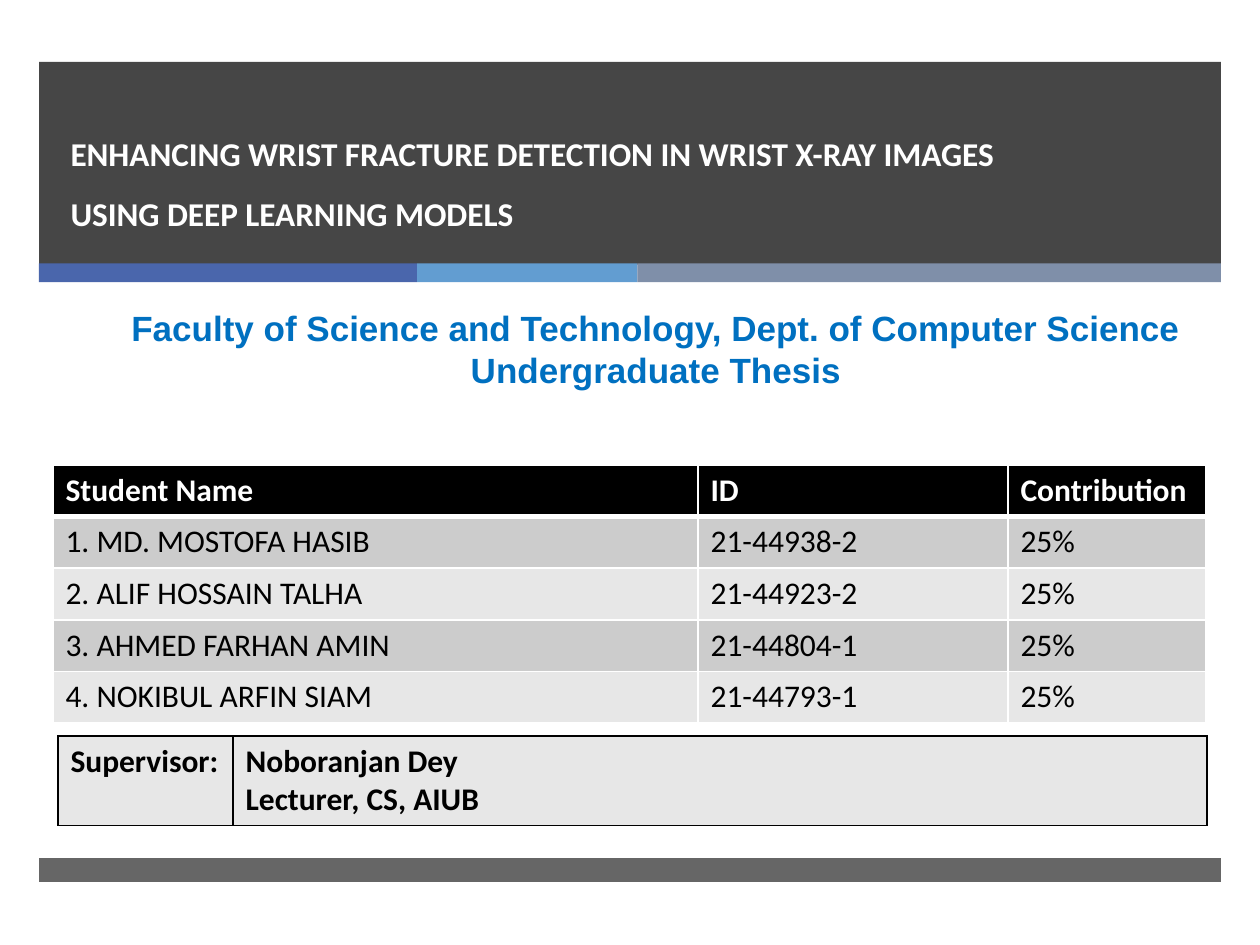
import pptx
import pptx.dml.color
import pptx.enum.shapes
import pptx.enum.text
import pptx.oxml
import pptx.oxml.ns
import pptx.util
from pptx.util import Inches

THEME = {
    "heading_font": "Arial", "body_font": "Calibri",
    "title_size": 19, "subtitle_size": 20, "table_size": 18,
    "white": "FFFFFF", "black": "000000", "dark": "262626", "subtitle": "0070C0",
    "band_dark": "CCCCCC", "band_light": "E7E7E7",
    "accents": ("4A66AC", "629DD1", "7F8FA9"),
}

TITLE = "ENHANCING WRIST FRACTURE DETECTION IN WRIST X-RAY IMAGES USING DEEP LEARNING MODELS"
SUBTITLE = ("Faculty of Science and Technology, Dept. of Computer Science\n"
            "Undergraduate Thesis")
STUDENTS = [
    ("Student Name", "ID", "Contribution"),
    ("1. MD. MOSTOFA HASIB", "21-44938-2", "25%"),
    ("2. ALIF HOSSAIN TALHA", "21-44923-2", "25%"),
    ("3. AHMED FARHAN AMIN", "21-44804-1", "25%"),
    ("4. NOKIBUL ARFIN SIAM", "21-44793-1", "25%"),
]
SUPERVISOR = [("Supervisor:", "Noboranjan Dey\nLecturer, CS, AIUB")]

MARGIN, BAND_WIDTH = 0.31, 9.38
ACCENT_WIDTHS = (3, 1.75, 4.63)


def rgb(color):
    return pptx.dml.color.RGBColor.from_string(color)


def style_text(text_frame, font, size, color, bold=True):
    for paragraph in text_frame.paragraphs:
        for run in paragraph.runs:
            run.font.name = font
            run.font.size = pptx.util.Pt(size)
            run.font.bold = bold
            run.font.color.rgb = rgb(color)


def add_band(slide, left, top, width, height, color, opacity=100):
    shape = slide.shapes.add_shape(
        pptx.enum.shapes.MSO_SHAPE.RECTANGLE, *map(Inches, (left, top, width, height)))
    shape.shadow.inherit = False
    shape.line.fill.background()
    shape.fill.solid()
    shape.fill.fore_color.rgb = rgb(color)
    if opacity < 100:
        color_element = shape.element.spPr.find(".//" + pptx.oxml.ns.qn("a:srgbClr"))
        color_element.append(pptx.oxml.parse_xml(
            f'<a:alpha {pptx.oxml.ns.nsdecls("a")} val="{opacity * 1000}"/>'))


def place(shape, left, top, width, height):
    """Position a placeholder and bring it to the front."""
    shape.left, shape.top, shape.width, shape.height = map(Inches, (left, top, width, height))
    shape.element.getparent().append(shape.element)
    shape.text_frame.word_wrap = True
    shape.text_frame.auto_size = pptx.enum.text.MSO_AUTO_SIZE.NONE


def set_borders(cell, color, top=1, bottom=1):
    properties = cell._tc.get_or_add_tcPr()
    for side, width in (("L", 1), ("R", 1), ("T", top), ("B", bottom)):
        properties.append(pptx.oxml.parse_xml(
            f'<a:ln{side} {pptx.oxml.ns.nsdecls("a")} w="{pptx.util.Pt(width)}">'
            f'<a:solidFill><a:srgbClr val="{color}"/></a:solidFill></a:ln{side}>'))


def add_grid(slide, left, top, column_widths, row_height, rows, border, header):
    table = slide.shapes.add_table(
        len(rows), len(column_widths), Inches(left), Inches(top),
        Inches(sum(column_widths)), Inches(row_height * len(rows))).table
    table.first_row = header
    table.horz_banding = False
    for column, width in zip(table.columns, column_widths):
        column.width = Inches(width)
    for index, values in enumerate(rows):
        table.rows[index].height = Inches(row_height)
        is_header = header and index == 0
        fill = THEME["black"] if is_header else THEME["band_dark" if index % 2 else "band_light"]
        color = THEME["white" if is_header else "black"]
        for cell, value in zip(table.rows[index].cells, values):
            cell.text_frame.text = value
            style_text(cell.text_frame, THEME["body_font"], THEME["table_size"], color,
                       bold=is_header or not header)
            set_borders(cell, border, top=3 if header and index == 1 else 1,
                        bottom=3 if is_header else 1)
            cell.fill.solid()
            cell.fill.fore_color.rgb = rgb(fill)


def main():
    presentation = pptx.Presentation()
    presentation.slide_width, presentation.slide_height = Inches(10), Inches(7.5)
    slide = presentation.slides.add_slide(presentation.slide_layouts[0])

    add_band(slide, MARGIN, 0.49, BAND_WIDTH, 1.61, THEME["dark"], 85)
    left = MARGIN
    for width, color in zip(ACCENT_WIDTHS, THEME["accents"]):
        add_band(slide, left, 2.09, width, 0.15, color)
        left += width
    add_band(slide, MARGIN, 6.81, BAND_WIDTH, 0.19, THEME["dark"], 70)

    title = slide.shapes.title
    place(title, 0.46, 0.71, 7.65, 1.19)
    title.text_frame.text = TITLE
    title.text_frame.vertical_anchor = pptx.enum.text.MSO_ANCHOR.BOTTOM
    title.text_frame.paragraphs[0].alignment = pptx.enum.text.PP_ALIGN.LEFT
    title.text_frame.paragraphs[0].line_spacing = 1.5
    style_text(title.text_frame, THEME["body_font"], THEME["title_size"], THEME["white"])

    subtitle = slide.placeholders[1]
    place(subtitle, 0.27, 2.38, 9.87, 0.77)
    subtitle.text_frame.text = SUBTITLE
    subtitle.text_frame.vertical_anchor = pptx.enum.text.MSO_ANCHOR.TOP
    for paragraph in subtitle.text_frame.paragraphs:
        paragraph.alignment = pptx.enum.text.PP_ALIGN.CENTER
        paragraph.space_before = pptx.util.Pt(0)
    style_text(subtitle.text_frame, THEME["heading_font"], THEME["subtitle_size"],
               THEME["subtitle"])

    add_grid(slide, 0.42, 3.69, (5.12, 2.46, 1.57), 0.41, STUDENTS, THEME["white"], header=True)
    add_grid(slide, 0.46, 5.84, (1.39, 7.73), 0.69, SUPERVISOR, THEME["black"], header=False)

    presentation.save("out.pptx")


if __name__ == "__main__":
    main()
